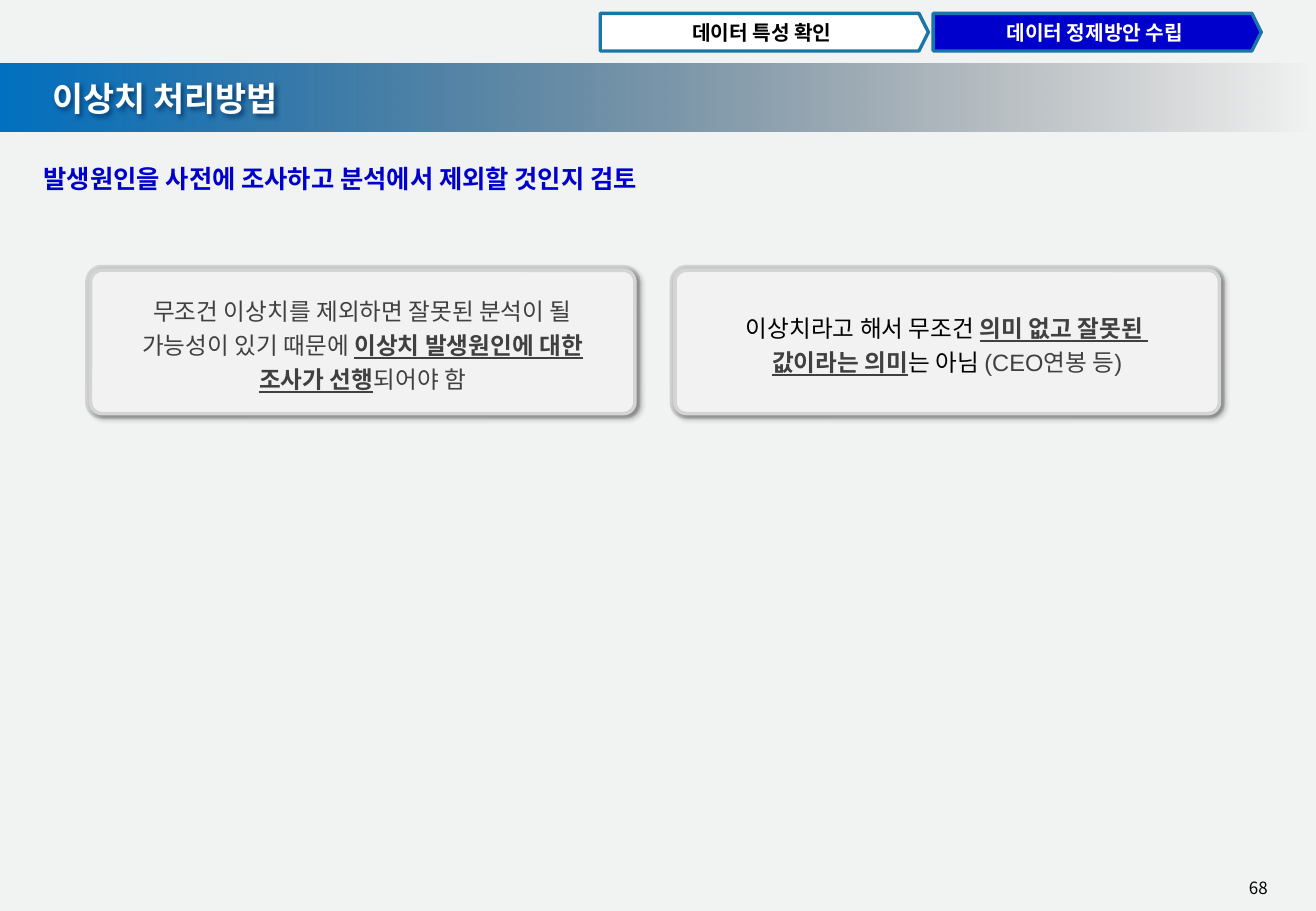
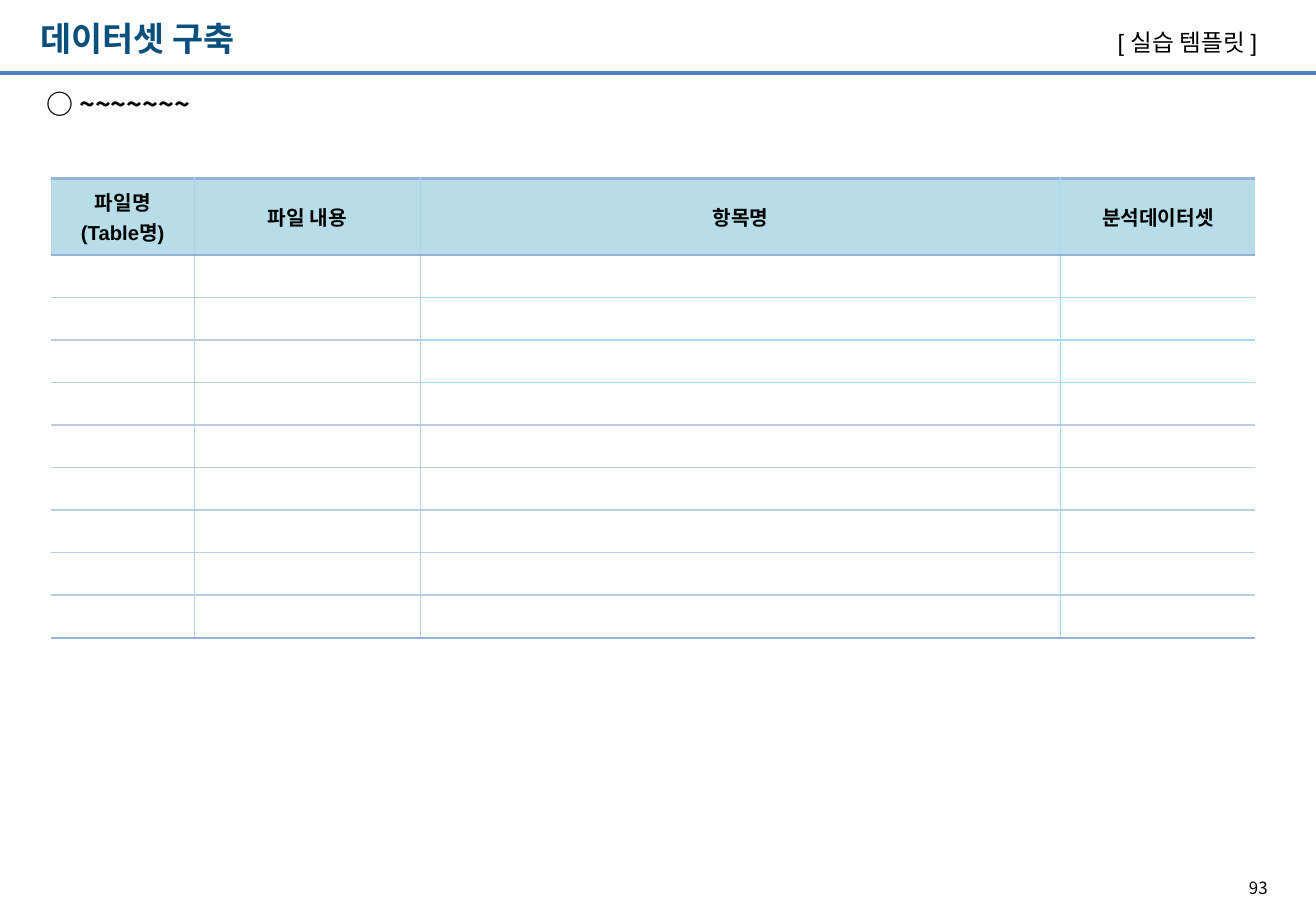
from dataclasses import dataclass

from lxml.etree import SubElement
from pptx import Presentation
from pptx.dml.color import RGBColor
from pptx.enum.shapes import MSO_CONNECTOR, MSO_SHAPE
from pptx.enum.text import MSO_ANCHOR, MSO_AUTO_SIZE, PP_ALIGN
from pptx.oxml.ns import qn
from pptx.util import Inches, Pt


@dataclass(frozen=True)
class Theme:
    korean: str = "Noto Sans CJK KR"
    latin: str = "Arial"
    black: str = "000000"
    white: str = "FFFFFF"
    paper: str = "F1F2F2"
    band: str = "0070C0"
    title_shadow: str = "003366"
    navy: str = "09507D"
    accent: str = "0000CC"
    tab_line: str = "1876A9"
    card: str = "F2F2F2"
    card_line: str = "808080"
    card_text: str = "404040"
    rule: str = "4F81BD"
    header: str = "B7DEE8"
    frame_line: str = "95B3D7"
    grid_line: str = "B9CDE5"
    light_line: str = "A4DAF4"
    title_size: int = 20
    topic_size: int = 16
    lead_size: int = 15
    text_size: int = 14
    label_size: int = 12
    number_size: int = 10


theme = Theme()
rgb = RGBColor.from_string


def write(shape, paragraphs, size, color=theme.black, font=theme.korean, bold=False,
          align=PP_ALIGN.LEFT, anchor=MSO_ANCHOR.TOP, spacing=1.0, margins=(0.1, 0.05)):
    """Fill a shape or cell; each paragraph is a list of (text, font overrides)."""
    frame = shape.text_frame
    side, edge = (Inches(margin) for margin in margins)
    if hasattr(shape, "margin_left"):
        holder, anchor_name = shape, "vertical_anchor"
    else:
        holder, anchor_name = frame, "vertical_anchor"
        frame.word_wrap = True
        frame.auto_size = MSO_AUTO_SIZE.NONE
    settings = {"margin_left": side, "margin_right": side, "margin_top": edge,
                "margin_bottom": edge, anchor_name: anchor}
    for name, value in settings.items():
        setattr(holder, name, value)
    for index, runs in enumerate(paragraphs):
        para = frame.paragraphs[0] if index == 0 else frame.add_paragraph()
        properties = para._p.get_or_add_pPr()
        properties.set("marL", "0")
        properties.set("indent", "0")
        SubElement(properties, qn("a:buNone"))
        para.alignment, para.line_spacing, para.space_before = align, spacing, Pt(0)
        for text, changes in runs:
            look = {"color": color, "bold": bold, "underline": False} | changes
            for line_index, line in enumerate(text.split("\n")):
                if line_index:
                    para.add_line_break()
                span = para.add_run()
                span.text = line
                for name, value in {"size": Pt(size), "name": font, "bold": look["bold"],
                                    "underline": look["underline"]}.items():
                    setattr(span.font, name, value)
                span.font.color.rgb = rgb(look["color"])
                SubElement(span.font._element, qn("a:ea"), typeface=theme.korean)


def add_shadow(shape, color, opacity, blur, distance):
    effects = SubElement(shape.element.spPr, qn("a:effectLst"))
    shadow = SubElement(effects, qn("a:outerShdw"), blurRad=str(Pt(blur)), dist=str(Pt(distance)),
                        dir="2700000", algn="tl", rotWithShape="0")
    tint = SubElement(shadow, qn("a:srgbClr"), val=color)
    SubElement(tint, qn("a:alpha"), val=str(opacity * 1000))


deck = Presentation()
deck.slide_width, deck.slide_height = Inches(10.83), Inches(7.5)
layout = deck.slide_layouts.get_by_name("Title and Content")

# Parts that both slides share
pages = []
for title, title_place, title_color, lead, lead_place, lead_format, number in (
    ("이상치 처리방법", (0.33, 0.59, 4.81, 0.44), theme.white,
     "발생원인을 사전에 조사하고 분석에서 제외할 것인지 검토", (0.26, 1.27, 10.51, 0.36),
     {"size": theme.lead_size, "color": theme.accent, "spacing": 1.1}, "68"),
    ("데이터셋 구축", (0.23, 0.1, 4.95, 0.44), theme.navy,
     "○ ~~~~~~~", (0.38, 0.72, 10.2, 0.78),
     {"size": theme.topic_size, "margins": (0, 0)}, "93"),
):
    page = deck.slides.add_slide(layout)
    title_box, lead_box = page.placeholders
    number_box = page.shapes.add_textbox(Inches(10.14), Inches(7.18), Inches(0.39), Inches(0.27))
    for box, place in ((title_box, title_place), (lead_box, lead_place)):
        box.left, box.top, box.width, box.height = (Inches(length) for length in place)
    write(title_box, [[(title, {})]], theme.title_size, title_color, bold=True)
    write(lead_box, [[(lead, {})]], bold=True, **lead_format)
    write(number_box, [[(number, {})]], theme.number_size, align=PP_ALIGN.RIGHT)
    pages.append(page)
outlier_page, dataset_page = pages

# Outlier handling: band, step tabs and two cards
outlier_page.background.fill.solid()
outlier_page.background.fill.fore_color.rgb = rgb(theme.paper)
band = outlier_page.shapes.add_shape(MSO_SHAPE.RECTANGLE, 0, Inches(0.52),
                                     deck.slide_width, Inches(0.56))
band.shadow.inherit = False
band.line.fill.background()
band.fill.gradient()
band.fill.gradient_angle = 0
for stop, color, position in zip(band.fill.gradient_stops, (theme.band, theme.black), (0, 1)):
    stop.color.rgb = rgb(color)
    stop.position = position
clear_color = band.element.spPr.findall(".//" + qn("a:srgbClr"))[-1]
SubElement(clear_color, qn("a:alpha"), val="0")
outlier_page.shapes.element.insert(2, band.element)
add_shadow(outlier_page.shapes.title, theme.title_shadow, 80, 3, 2)

for index, (label, fill, color) in enumerate((
    ("데이터 특성 확인", theme.white, theme.black),
    ("데이터 정제방안 수립", theme.accent, theme.white),
)):
    tab = outlier_page.shapes.add_shape(MSO_SHAPE.PENTAGON, Inches(4.94 + index * 2.74),
                                        Inches(0.11), Inches(2.7), Inches(0.31))
    tab.adjustments[0] = 0.25
    tab.shadow.inherit = False
    tab.fill.solid()
    tab.fill.fore_color.rgb = rgb(fill)
    tab.line.color.rgb = rgb(theme.tab_line)
    tab.line.width = Pt(2)
    write(tab, [[(label, {})]], theme.label_size, color, bold=True, align=PP_ALIGN.CENTER,
          anchor=MSO_ANCHOR.MIDDLE, margins=(0, 0.05))

strong = {"bold": True, "underline": True}
dark = {"color": theme.black}
cards = (
    (theme.korean, [[("무조건 이상치를 제외하면 잘못된 분석이 될\n가능성이 있기 때문에 ", {}),
                     ("이상치 발생원인에 대한\n조사가 선행", strong), ("되어야 함", {})]]),
    (theme.latin, [[("이상치라고 해서 무조건 ", dark), ("의미 없고 잘못된 ", strong)],
                   [("값이라는 의미", strong), ("는 아님 ", dark), ("(CEO연봉 등)", {})]]),
)
for index, (font, paragraphs) in enumerate(cards):
    card = outlier_page.shapes.add_shape(MSO_SHAPE.ROUNDED_RECTANGLE, Inches(0.73 + index * 4.81),
                                         Inches(2.21), Inches(4.51), Inches(1.21))
    card.adjustments[0] = 0.09
    card.fill.solid()
    card.fill.fore_color.rgb = rgb(theme.card)
    card.line.color.rgb = rgb(theme.card_line)
    card.line.width = Pt(4.25)
    line_color = card.element.spPr.find(qn("a:ln")).find(".//" + qn("a:srgbClr"))
    SubElement(line_color, qn("a:alpha"), val="26000")
    add_shadow(card, theme.black, 40, 2, 2)
    write(card, paragraphs, theme.text_size, theme.card_text, font, align=PP_ALIGN.CENTER,
          anchor=MSO_ANCHOR.MIDDLE, spacing=1.2)

# Dataset template: rule, tag and empty table
rule = dataset_page.shapes.add_connector(MSO_CONNECTOR.STRAIGHT, 0, Inches(0.6),
                                         deck.slide_width, Inches(0.6))
rule.line.color.rgb = rgb(theme.rule)
rule.line.width = Pt(2)
SubElement(rule.element.spPr, qn("a:effectLst"))
tag = dataset_page.shapes.add_textbox(Inches(9.1), Inches(0.18), Inches(1.48), Inches(0.34))
write(tag, [[("[ 실습 템플릿 ]", {})]], theme.text_size, font=theme.latin)

headings = (("파일명", "(Table명)"), ("파일 내용",), ("항목명",), ("분석데이터셋",))
widths = (1.18, 1.86, 5.27, 1.6)
heights = (0.63,) + (0.35,) * 9
table_frame = dataset_page.shapes.add_table(len(heights), len(widths), Inches(0.42), Inches(1.47),
                                            Inches(sum(widths)), Inches(sum(heights)))
table = table_frame.table
table.horz_banding = False
for column, width in zip(table.columns, widths):
    column.width = Inches(width)
for row, height in zip(table.rows, heights):
    row.height = Inches(height)

frame_line, grid_line, light_line = (
    (theme.frame_line, 1.5), (theme.grid_line, 1), (theme.light_line, 1))
column_lines = [None, grid_line, grid_line, light_line, None]
for row_index in range(len(heights)):
    for column_index in range(len(widths)):
        cell = table.cell(row_index, column_index)
        row_lines = []
        for edge in (row_index, row_index + 1):
            if edge in (0, 1, len(heights)):
                row_lines.append(frame_line)
            else:
                row_lines.append(light_line if column_index > 1 and edge < 5 else grid_line)
        borders = column_lines[column_index:column_index + 2] + row_lines
        cell_properties = cell._tc.get_or_add_tcPr()
        for side, border in zip(("lnL", "lnR", "lnT", "lnB"), borders):
            line = SubElement(cell_properties, qn("a:" + side))
            if border:
                color, weight = border
                line.set("w", str(Pt(weight)))
                SubElement(SubElement(line, qn("a:solidFill")), qn("a:srgbClr"), val=color)
            else:
                SubElement(line, qn("a:noFill"))
        if row_index == 0:
            cell.fill.solid()
            cell.fill.fore_color.rgb = rgb(theme.header)
            write(cell, [[(text, {})] for text in headings[column_index]], theme.label_size,
                  font=theme.latin, bold=True, align=PP_ALIGN.CENTER, anchor=MSO_ANCHOR.MIDDLE)
        else:
            cell.fill.background()
            SubElement(cell.text_frame.paragraphs[0]._p, qn("a:endParaRPr"),
                       sz=str(theme.label_size * 100))

deck.save("out.pptx")
